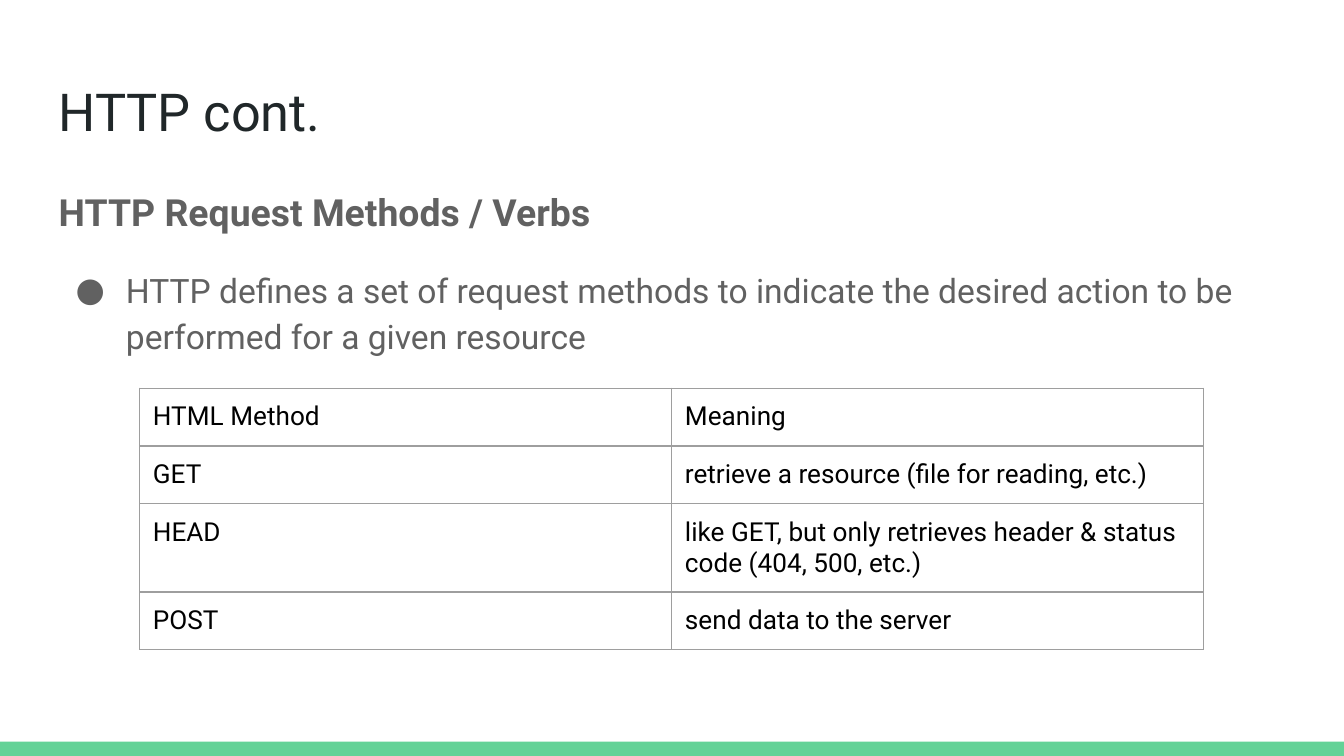
from lxml.etree import SubElement
from pptx import Presentation
from pptx.dml.color import RGBColor
from pptx.enum.shapes import MSO_SHAPE
from pptx.enum.text import MSO_ANCHOR, MSO_AUTO_SIZE, PP_ALIGN
from pptx.oxml import parse_xml
from pptx.oxml.ns import nsdecls, qn
from pptx.util import Cm, Pt

WIDTH, HEIGHT = 25.4, 14.29
INSET = Cm(0.25)
GREEN, INK, GREY, BLACK, RULE = "63D297", "202729", "616161", "000000", "9E9E9E"
METHODS = [
    ("HTML Method", "Meaning"),
    ("GET", "retrieve a resource (file for reading, etc.)"),
    ("HEAD", "like GET, but only retrieves header & status code (404, 500, etc.)"),
    ("POST", "send data to the server"),
]
ROW_HEIGHTS = [1.09, 1.09, 1.67, 1.09]


def color(value):
    """Turn a hex string into a colour."""
    return RGBColor.from_string(value)


def write(para, text, size=14, ink=BLACK, bold=False, spacing=1.0, before=0):
    """Write one formatted run into a paragraph."""
    para.alignment = PP_ALIGN.LEFT
    para.line_spacing = spacing
    para.space_before = Pt(before)
    span = para.add_run()
    span.text = text
    span.font.name = "Roboto"
    span.font.size = Pt(size)
    span.font.bold = bold
    span.font.color.rgb = color(ink)


def set_bullet(para, symbol=None, margin=0, hanging=0):
    """Give a paragraph a bullet and indents, or none."""
    properties = para._p.get_or_add_pPr()
    properties.set("marL", str(Cm(margin)))
    properties.set("indent", str(Cm(-hanging)))
    if symbol:
        SubElement(properties, qn("a:buFont"), typeface="Roboto")
        SubElement(properties, qn("a:buChar"), char=symbol)
    else:
        SubElement(properties, qn("a:buNone"))


def prepare_placeholder(holder, box):
    """Move a placeholder into its box and return its text frame."""
    holder.left, holder.top, holder.width, holder.height = map(Cm, box)
    frame = holder.text_frame
    frame.margin_left = frame.margin_right = INSET
    frame.margin_top = frame.margin_bottom = INSET
    frame.vertical_anchor = MSO_ANCHOR.TOP
    frame.auto_size = MSO_AUTO_SIZE.NONE
    frame.word_wrap = True
    return frame


def add_title(page, box):
    """Fill the title placeholder."""
    frame = prepare_placeholder(page.shapes.title, box)
    write(frame.paragraphs[0], "HTTP cont.", size=28, ink=INK)


def add_body(page, box):
    """Fill the body placeholder with a heading and one bullet."""
    frame = prepare_placeholder(page.placeholders[1], box)
    heading = frame.paragraphs[0]
    write(heading, "HTTP Request Methods / Verbs", size=20, ink=GREY, bold=True, spacing=1.15)
    set_bullet(heading)
    item = frame.add_paragraph()
    write(item, "HTTP defines a set of request methods to indicate the desired action "
          "to be performed for a given resource", size=18, ink=GREY, spacing=1.15, before=16)
    set_bullet(item, "●", margin=1.27, hanging=0.95)


def set_borders(cell):
    """Draw a thin line on all four sides of a cell."""
    properties = cell._tc.get_or_add_tcPr()
    for index, side in enumerate(("lnL", "lnR", "lnT", "lnB")):
        line = parse_xml(
            f'<a:{side} {nsdecls("a")} w="{Pt(0.75)}"><a:solidFill>'
            f'<a:srgbClr val="{RULE}"/></a:solidFill></a:{side}>')
        properties.insert(index, line)


def add_methods_table(page, box):
    """Add the table of request methods."""
    table = page.shapes.add_table(len(METHODS), len(METHODS[0]), *map(Cm, box)).table
    table.first_row = table.horz_banding = False
    for row, height, texts in zip(table.rows, ROW_HEIGHTS, METHODS):
        row.height = Cm(height)
        for cell, text in zip(row.cells, texts):
            cell.margin_left = cell.margin_right = INSET
            cell.margin_top = cell.margin_bottom = INSET
            cell.fill.background()
            set_borders(cell)
            write(cell.text_frame.paragraphs[0], text)


def add_footer_bar(page, box):
    """Add the coloured bar along the bottom edge."""
    bar = page.shapes.add_shape(MSO_SHAPE.RECTANGLE, *map(Cm, box))
    bar.shadow.inherit = False
    bar.fill.solid()
    bar.fill.fore_color.rgb = color(GREEN)
    bar.line.fill.background()


def main():
    """Build the deck and save it."""
    deck = Presentation()
    deck.slide_width, deck.slide_height = Cm(WIDTH), Cm(HEIGHT)
    page = deck.slides.add_slide(deck.slide_layouts[1])
    add_footer_bar(page, (0, HEIGHT - 0.27, WIDTH, 0.27))
    add_title(page, (0.86, 1.24, 23.67, 1.6))
    add_body(page, (0.86, 3.2, 23.67, 9.5))
    add_methods_table(page, (2.64, 7.34, 20.11, sum(ROW_HEIGHTS)))
    deck.save("out.pptx")


if __name__ == "__main__":
    main()
